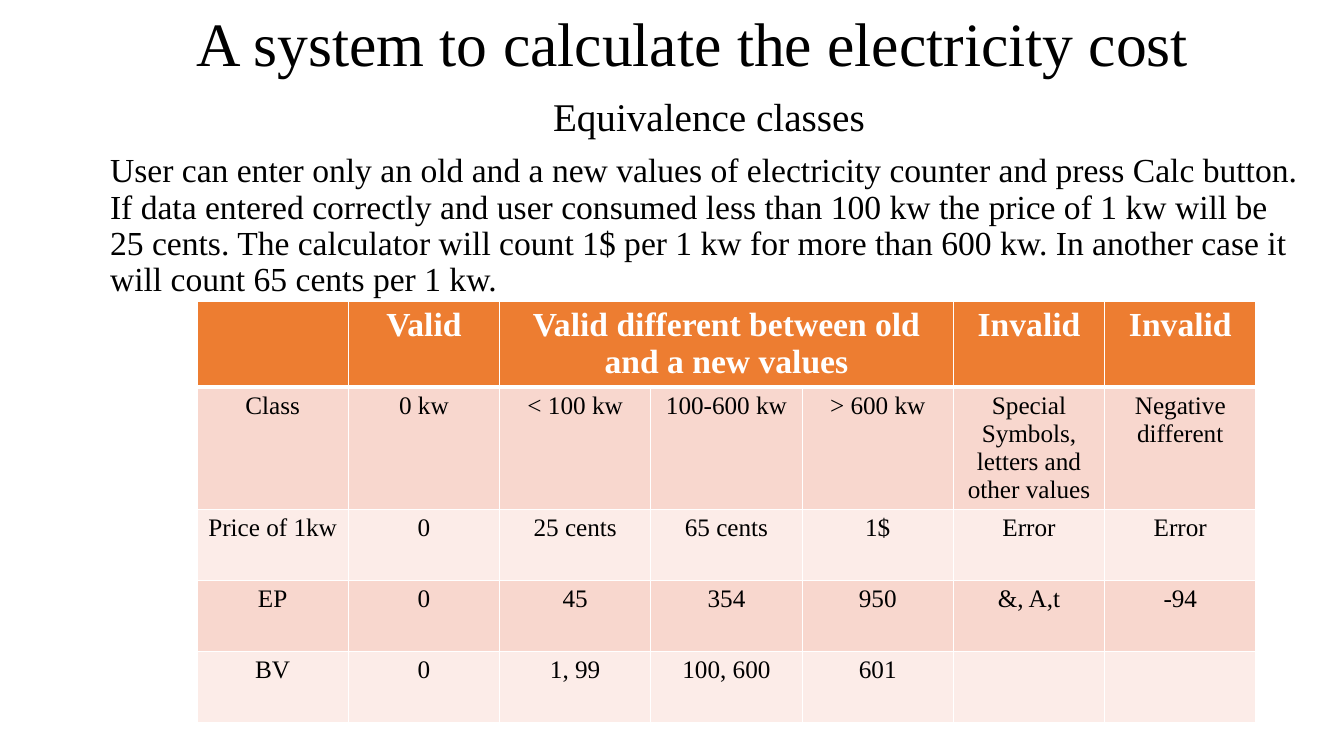
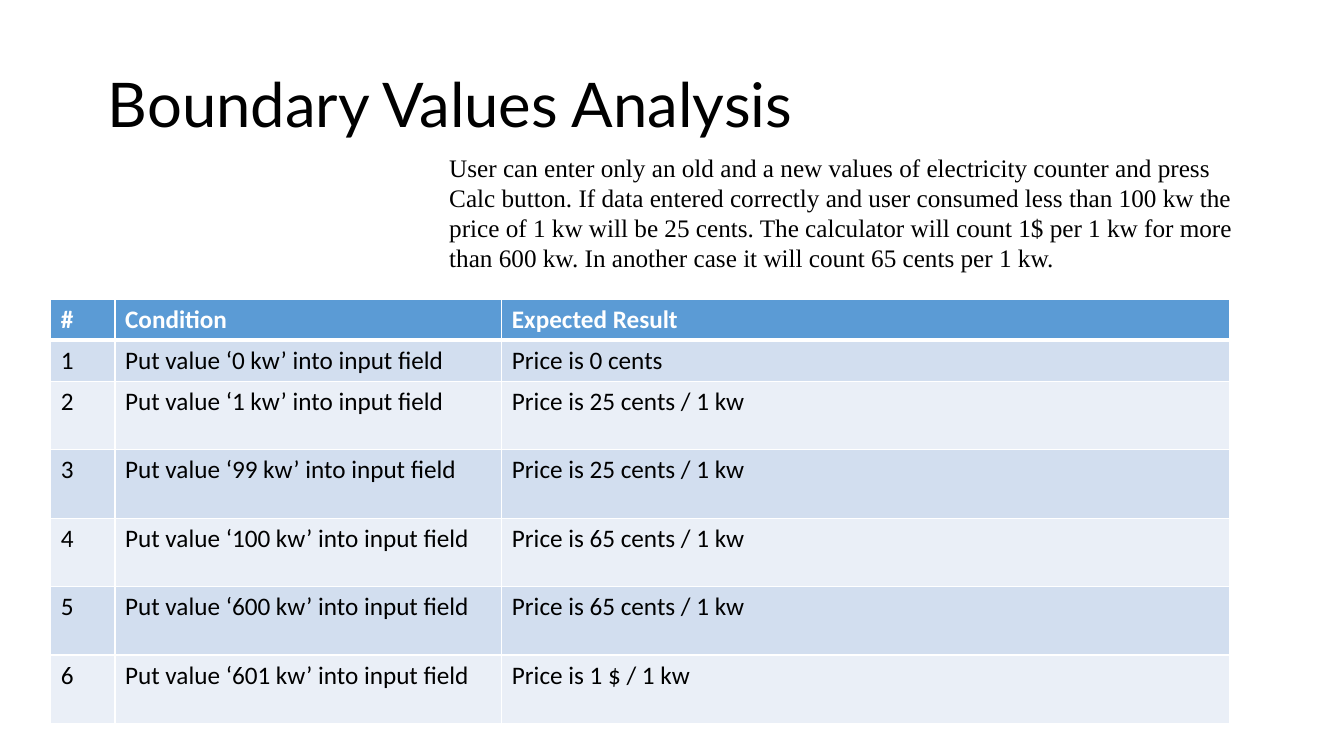
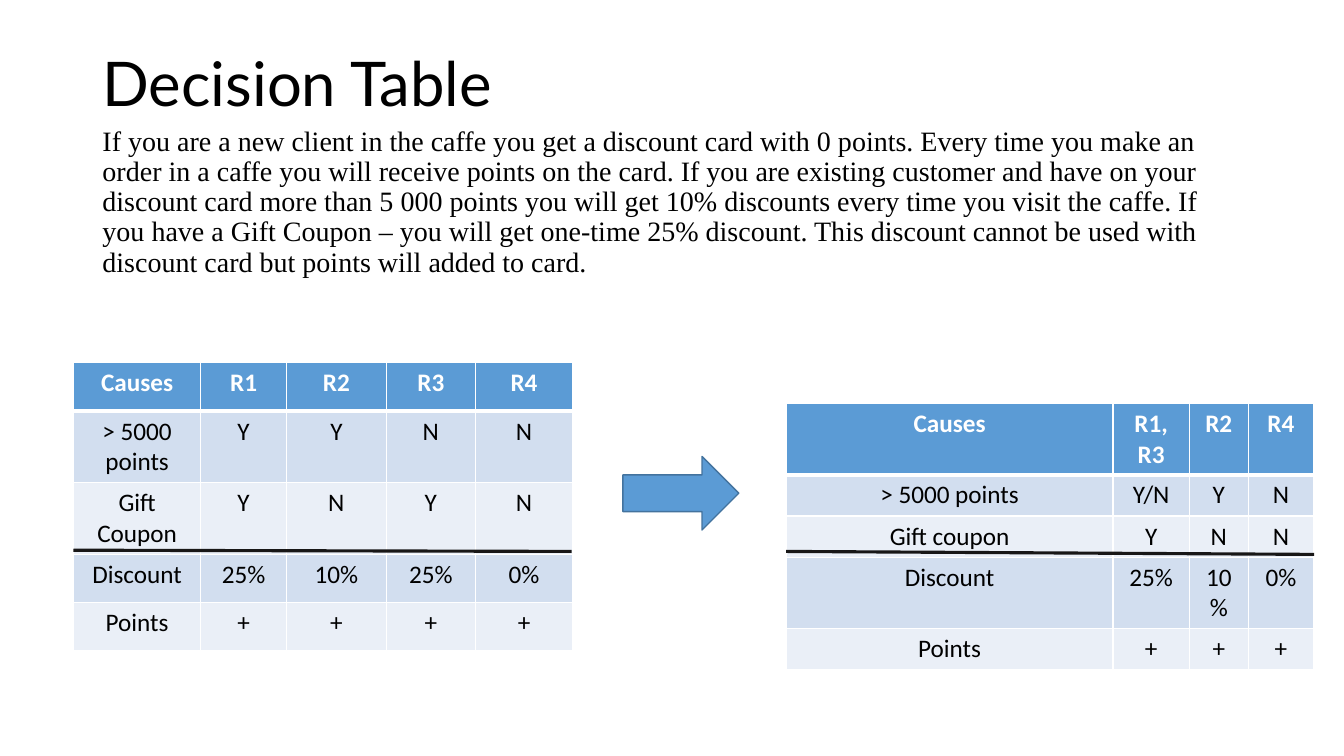
from dataclasses import dataclass
from typing import Any, Optional

from lxml import etree
from pptx import Presentation
from pptx import util as u
from pptx.dml.color import RGBColor
from pptx.enum import shapes, text
from pptx.oxml.ns import qn

COLUMNS, ROWS = 160, 90
CELL = u.Inches(7.5) // ROWS

COLORS = {
    "ink": "000000", "paper": "FFFFFF", "rule": "181717",
    "blue": "5B9BD5", "blue_dark": "D2DEEF", "blue_light": "EAEFF7", "blue_edge": "43739E",
    "orange": "ED7D31", "orange_dark": "F8D7CE", "orange_light": "FCECE8",
}
SERIF, SANS, TITLE_SANS = "Times New Roman", "Calibri", "Lato"
LEFT, CENTER = text.PP_ALIGN.LEFT, text.PP_ALIGN.CENTER

TITLE_FRAME = {"word_wrap": True, "auto_size": text.MSO_AUTO_SIZE.NONE,
               "vertical_anchor": text.MSO_ANCHOR.MIDDLE}
BODY_FRAME = {**TITLE_FRAME, "vertical_anchor": text.MSO_ANCHOR.TOP}
NOTE_FRAME = {"word_wrap": True, "auto_size": text.MSO_AUTO_SIZE.SHAPE_TO_FIT_TEXT}
TITLE_PARAGRAPH = {"line_spacing": 0.9, "space_before": u.Pt(0)}
BODY_PARAGRAPH = {"line_spacing": 0.9, "space_before": u.Pt(10)}

COST_RULES = (
    "User can enter only an old and a new values of electricity counter and press Calc button. "
    "If data entered correctly and user consumed less than 100 kw the price of 1 kw will be 25 cents. "
    "The calculator will count 1$ per 1 kw for more than 600 kw. "
    "In another case it will count 65 cents per 1 kw."
)
DISCOUNT_RULES = (
    "If you are a new client in the caffe you get a discount card with 0 points. "
    "Every time you make an order in a caffe you will receive points on the card. "
    "If you are existing customer and have on your discount card more than 5 000 points "
    "you will get 10% discounts every time you visit the caffe. "
    "If you have a Gift Coupon – you will get one-time 25% discount. "
    "This discount cannot be used with discount card but points will added to card."
)


@dataclass(frozen=True)
class Area:
    col: float
    row: float
    cols: float
    rows: float


@dataclass(frozen=True)
class Line:
    words: str
    size: float
    font: str = SERIF
    align: Any = LEFT


@dataclass(frozen=True)
class Grid:
    col: float
    row: float
    widths: list[float]
    heights: list[float]
    cells: list[list[str]]
    palette: str = "blue"
    font: str = SANS
    header_size: float = 18
    align: Any = CENTER
    header_span: Optional[tuple[int, int]] = None


@dataclass(frozen=True)
class Rule:
    start: tuple[float, float]
    end: tuple[float, float]


def span(cells: float) -> int:
    return round(cells * CELL)


def color(name: str) -> RGBColor:
    return RGBColor.from_string(COLORS[name])


def apply(target: Any, values: dict[str, Any]) -> None:
    for attribute, value in values.items():
        setattr(target, attribute, value)


def place(shape: Any, area: Area) -> None:
    apply(shape, {"left": span(area.col), "top": span(area.row),
                  "width": span(area.cols), "height": span(area.rows)})


def style_font(font: Any, face: str, size: float, ink: str = "ink", bold: bool = False) -> None:
    apply(font, {"name": face, "size": u.Pt(size), "bold": bold})
    font.color.rgb = color(ink)


def write(frame: Any, lines: list[Line], frame_format: dict[str, Any],
          paragraph_format: dict[str, Any]) -> None:
    apply(frame, frame_format)
    frame.text = "\n".join(line.words for line in lines)
    for paragraph, line in zip(frame.paragraphs, lines):
        apply(paragraph, {**paragraph_format, "alignment": line.align})
        style_font(paragraph.runs[0].font, line.font, line.size)


def fill_title(slide: Any, area: Area, line: Line) -> None:
    place(slide.shapes.title, area)
    write(slide.shapes.title.text_frame, [line], TITLE_FRAME, TITLE_PARAGRAPH)


def fill_body(slide: Any, area: Area, lines: list[Line]) -> None:
    body = slide.placeholders[1]
    place(body, area)
    write(body.text_frame, lines, BODY_FRAME, BODY_PARAGRAPH)
    for paragraph in body.text_frame.paragraphs:
        properties = paragraph._p.get_or_add_pPr()
        for name in ("marL", "indent"):
            properties.set(name, "0")
        etree.SubElement(properties, qn("a:buNone"))


def border(cell: Any, side: str, points: float) -> None:
    edge = etree.SubElement(cell._tc.get_or_add_tcPr(), qn(f"a:ln{side}"), w=str(u.Pt(points)))
    paint = etree.SubElement(edge, qn("a:solidFill"))
    etree.SubElement(paint, qn("a:srgbClr"), val=COLORS["paper"])


def draw_table(slide: Any, grid: Grid) -> None:
    table = slide.shapes.add_table(
        len(grid.heights), len(grid.widths), span(grid.col), span(grid.row),
        span(sum(grid.widths)), span(sum(grid.heights))).table
    for column, width in zip(table.columns, grid.widths):
        column.width = span(width)
    for row, height in zip(table.rows, grid.heights):
        row.height = span(height)
    for r, row_words in enumerate(grid.cells):
        header = r == 0
        shade = grid.palette if header else f"{grid.palette}_{'dark' if r % 2 else 'light'}"
        size = grid.header_size if header else 18
        for c, words in enumerate(row_words):
            cell = table.cell(r, c)
            for side, heavy in (("L", False), ("R", False), ("T", r == 1), ("B", header)):
                border(cell, side, 3 if heavy else 1)
            cell.fill.solid()
            cell.fill.fore_color.rgb = color(shade)
            cell.text = words
            for paragraph in cell.text_frame.paragraphs:
                paragraph.alignment = grid.align
                for run in paragraph.runs:
                    style_font(run.font, grid.font, size, "paper" if header else "ink", header)
    if grid.header_span:
        first, last = grid.header_span
        table.cell(0, first).merge(table.cell(0, last))


def draw_rule(slide: Any, rule: Rule) -> None:
    ends = [span(value) for value in (*rule.start, *rule.end)]
    divider = slide.shapes.add_connector(shapes.MSO_CONNECTOR.STRAIGHT, *ends)
    divider.line.color.rgb = color("rule")
    divider.line.width = u.Pt(2.25)
    etree.SubElement(divider._element.spPr, qn("a:effectLst"))


def draw_arrow(slide: Any, area: Area) -> None:
    arrow = slide.shapes.add_shape(
        shapes.MSO_SHAPE.RIGHT_ARROW,
        span(area.col), span(area.row), span(area.cols), span(area.rows))
    arrow.shadow.inherit = False
    arrow.fill.solid()
    arrow.fill.fore_color.rgb = color("blue")
    arrow.line.color.rgb = color("blue_edge")
    arrow.line.width = u.Pt(1)


def equivalence_slide(slide: Any) -> None:
    fill_title(slide, Area(13.55, 0, 138, 11),
               Line("A system to calculate the electricity cost", 44, align=CENTER))
    fill_body(slide, Area(11.9, 11, 145, 75.1),
              [Line("Equivalence classes", 28, align=CENTER), Line(COST_RULES, 24)])
    draw_table(slide, Grid(
        23.45, 35.9, [18.01] * 7, [10.15, 14.6] + [8.45] * 3,
        [
            ["", "Valid", "Valid different between old and a new values", "", "", "Invalid", "Invalid"],
            ["Class", "0 kw", "< 100 kw", "100-600 kw", "> 600 kw",
             "Special\nSymbols, letters and other values", "Negative different"],
            ["Price of 1kw", "0", "25 cents", "65 cents", "1$", "Error", "Error"],
            ["EP", "0", "45", "354", "950", "&, A,t", "-94"],
            ["BV", "0", "1, 99", "100, 600", "601", "", ""],
        ],
        palette="orange", font=SERIF, header_size=24, header_span=(2, 4)))


def boundary_slide(slide: Any) -> None:
    fill_title(slide, Area(11.65, 8, 91.3, 9.5), Line("Boundary Values Analysis", 44, TITLE_SANS))
    checks = [("0", "0 cents"), ("1", "25 cents / 1 kw"), ("99", "25 cents / 1 kw"),
              ("100", "65 cents / 1 kw"), ("600", "65 cents / 1 kw"), ("601", "1 $ / 1 kw")]
    draw_table(slide, Grid(
        6.05, 35.65, [7.65, 46.05, 86.6], [4.7] * 2 + [8.15] * 5,
        [["#", "Condition", "Expected Result"]] + [
            [str(number), f"Put value ‘{value} kw’ into input field", f"Price is {price}"]
            for number, (value, price) in enumerate(checks, 1)],
        align=LEFT))
    note = slide.shapes.add_textbox(span(52.3), span(17.5), span(97.1), span(19.4))
    write(note.text_frame, [Line(COST_RULES, 18)], NOTE_FRAME, {})


def decision_slide(slide: Any) -> None:
    fill_title(slide, Area(11, 4.8, 51.2, 11), Line("Decision Table", 44, TITLE_SANS))
    fill_body(slide, Area(11, 14.5, 138, 66.6), [Line(DISCOUNT_RULES, 20)])
    draw_table(slide, Grid(
        8.75, 43.2, [15.15, 10.2, 11.9, 10.6, 11.6], [5.75] * 5,
        [
            ["Causes", "R1", "R2", "R3", "R4"],
            ["> 5000 points", "Y", "Y", "N", "N"],
            ["Gift Coupon", "Y", "N", "Y", "N"],
            ["Discount", "25%", "10%", "25%", "0%"],
            ["Points"] + ["+"] * 4,
        ]))
    draw_rule(slide, Rule((8.75, 65.5), (68.05, 65.65)))
    draw_table(slide, Grid(
        93.6, 48, [38.9, 9.1, 7, 7.8], [4.9] * 5,
        [
            ["Causes", "R1, R3", "R2", "R4"],
            ["> 5000 points", "Y/N", "Y", "N"],
            ["Gift coupon", "Y", "N", "N"],
            ["Discount", "25%", "10%", "0%"],
            ["Points"] + ["+"] * 3,
        ]))
    draw_rule(slide, Rule((93.6, 65.65), (156.45, 66)))
    draw_arrow(slide, Area(74.15, 54.35, 13.8, 8.75))


def main() -> None:
    deck = Presentation()
    deck.slide_width, deck.slide_height = span(COLUMNS), span(ROWS)
    with_body, title_only = deck.slide_layouts[1], deck.slide_layouts[5]
    for layout, build in ((with_body, equivalence_slide), (title_only, boundary_slide),
                          (with_body, decision_slide)):
        build(deck.slides.add_slide(layout))
    deck.save("out.pptx")


if __name__ == "__main__":
    main()
